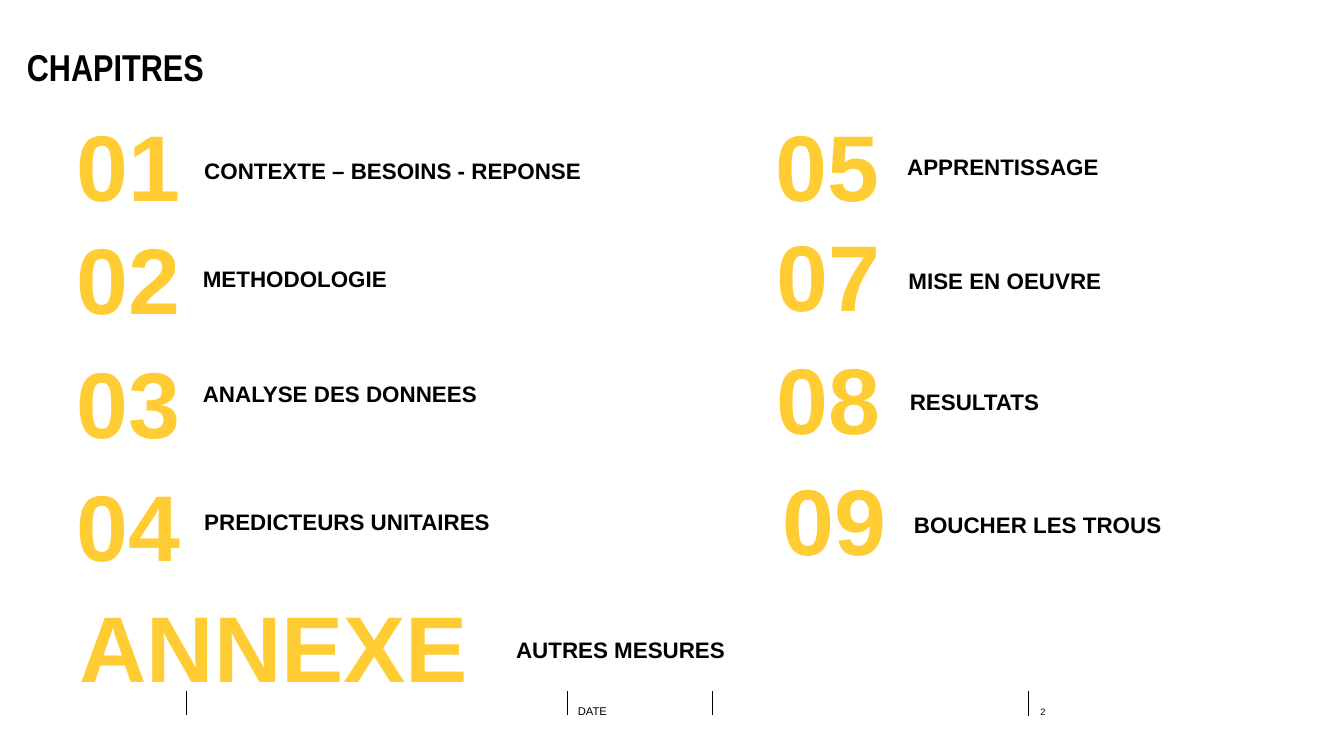
"""Build the chapter overview slide."""
from lxml.etree import SubElement
from pptx import Presentation
from pptx.dml.color import RGBColor
from pptx.enum.shapes import MSO_CONNECTOR, MSO_SHAPE
from pptx.enum.text import MSO_ANCHOR, PP_ALIGN
from pptx.oxml.ns import qn
from pptx.util import Inches, Pt


def color(value):
    return RGBColor.from_string(value)


def write(holder, text, font_format, ink, anchor, wrap):
    frame = holder.text_frame
    frame_format = {
        "margin_left": 0, "margin_top": 0, "margin_right": 0, "margin_bottom": 0,
        "vertical_anchor": anchor, "word_wrap": wrap,
    }
    for key, value in frame_format.items():
        setattr(frame, key, value)
    paragraph = frame.paragraphs[0]
    paragraph.alignment = PP_ALIGN.LEFT
    run = paragraph.add_run()
    run.text = text
    for key, value in font_format.items():
        setattr(run.font, key, value)
    run.font.color.rgb = color(ink)


BLACK = "000000"
YELLOW = "FFCC33"
TITLE = {"name": "Arial Narrow", "size": Pt(20), "bold": True}
NUMBER = {"name": "Arial", "size": Pt(50), "bold": True}
LABEL = {"name": "Arial", "size": Pt(12), "bold": True}
DATE = {"name": "Arial", "size": Pt(6), "bold": False}
PAGE = {"name": "Arial", "size": Pt(5), "bold": False}

presentation = Presentation()
presentation.slide_width = Inches(10)
presentation.slide_height = Inches(10 * 9 / 16)
slide = presentation.slides.add_slide(presentation.slide_layouts[6])

for x, bottom in [(1.39, 5.32), (4.22, 5.32), (5.3, 5.32), (7.65, 5.33)]:
    divider = slide.shapes.add_connector(
        MSO_CONNECTOR.STRAIGHT, Inches(x), Inches(5.14), Inches(x), Inches(bottom))
    divider.line.color.rgb = color(BLACK)
    divider.line.width = Pt(0.5)
    SubElement(divider.element.spPr, qn("a:effectLst"))

plain_texts = [
    ("CHAPITRES", 0.2, 0.33, 9.21, 0.28, TITLE, MSO_ANCHOR.TOP),
    ("DATE", 4.3, 5.16, 0.98, 0.18, DATE, MSO_ANCHOR.BOTTOM),
    ("2", 7.74, 5.22, 0.29, 0.12, PAGE, MSO_ANCHOR.BOTTOM),
]
for text, left, top, width, height, font_format, anchor in plain_texts:
    caption = slide.shapes.add_textbox(
        Inches(left), Inches(top), Inches(width), Inches(height))
    write(caption, text, font_format, BLACK, anchor, True)

chapters = [
    ("01", 0.57, 0.9, "CONTEXTE – BESOINS - REPONSE", 1.52, 0.91, 4.64),
    ("02", 0.57, 1.74, "METHODOLOGIE", 1.51, 1.71, 4.64),
    ("03", 0.57, 2.66, "ANALYSE DES DONNEES", 1.51, 2.57, 4.64),
    ("04", 0.57, 3.58, "PREDICTEURS UNITAIRES", 1.52, 3.52, 4.64),
    ("05", 5.77, 0.9, "APPRENTISSAGE", 6.75, 0.88, 4.64),
    ("07", 5.78, 1.72, "MISE EN OEUVRE", 6.76, 1.73, 4.64),
    ("08", 5.78, 2.63, "RESULTATS", 6.77, 2.63, 4.64),
    ("09", 5.82, 3.53, "BOUCHER LES TROUS", 6.8, 3.54, 2.12),
    ("ANNEXE", 0.59, 4.48, "AUTRES MESURES", 3.84, 4.47, 4.64),
]
for number, number_left, number_top, label, label_left, label_top, label_width in chapters:
    parts = [
        (number, number_left, number_top, 0.8, 0.74, NUMBER, YELLOW),
        (label, label_left, label_top, label_width, 0.46, LABEL, BLACK),
    ]
    for text, left, top, width, height, font_format, ink in parts:
        entry = slide.shapes.add_shape(
            MSO_SHAPE.FLOWCHART_PROCESS,
            Inches(left), Inches(top), Inches(width), Inches(height))
        entry.shadow.inherit = False
        entry.fill.background()
        entry.line.fill.background()
        write(entry, text, font_format, ink, MSO_ANCHOR.BOTTOM, False)

presentation.save("out.pptx")
